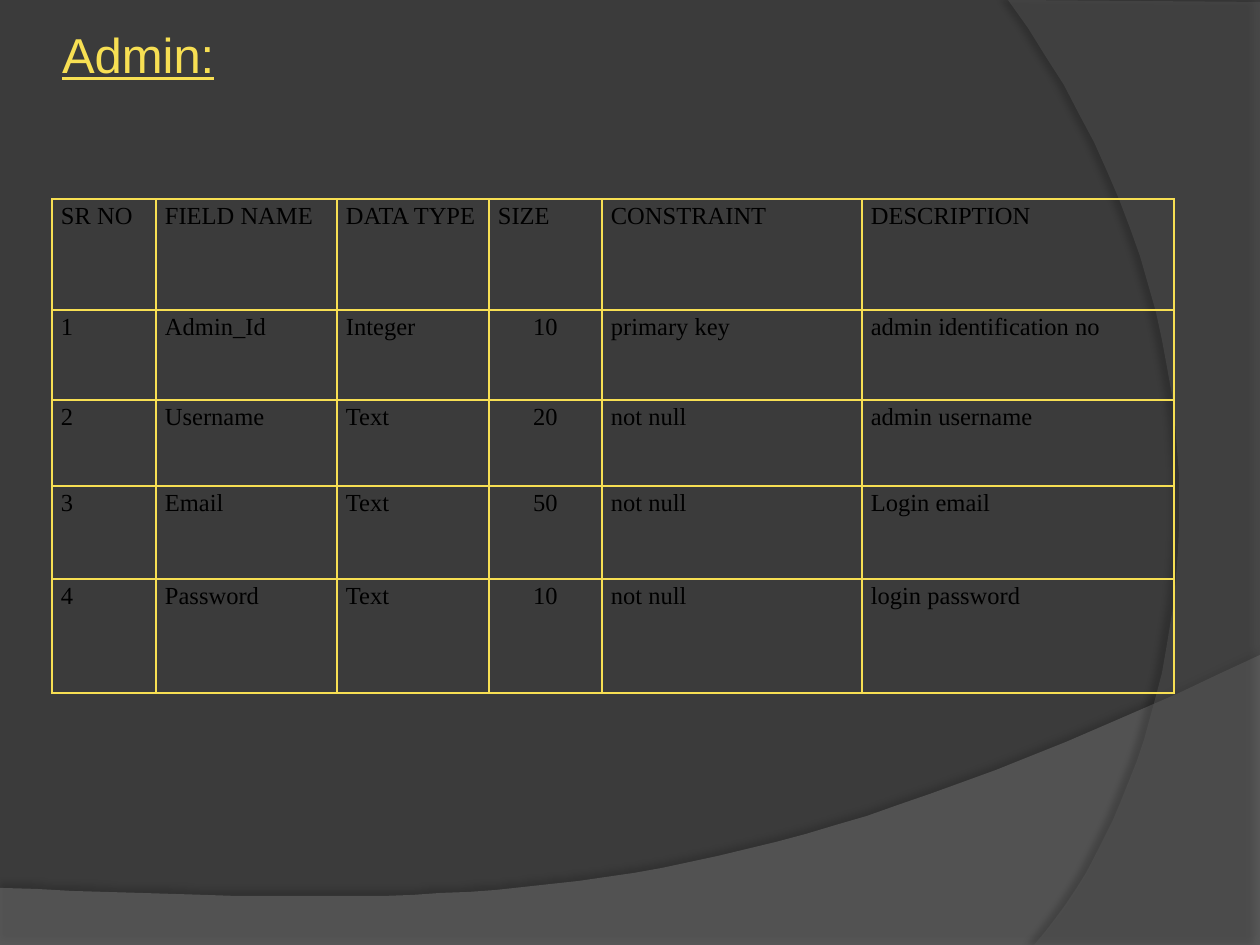
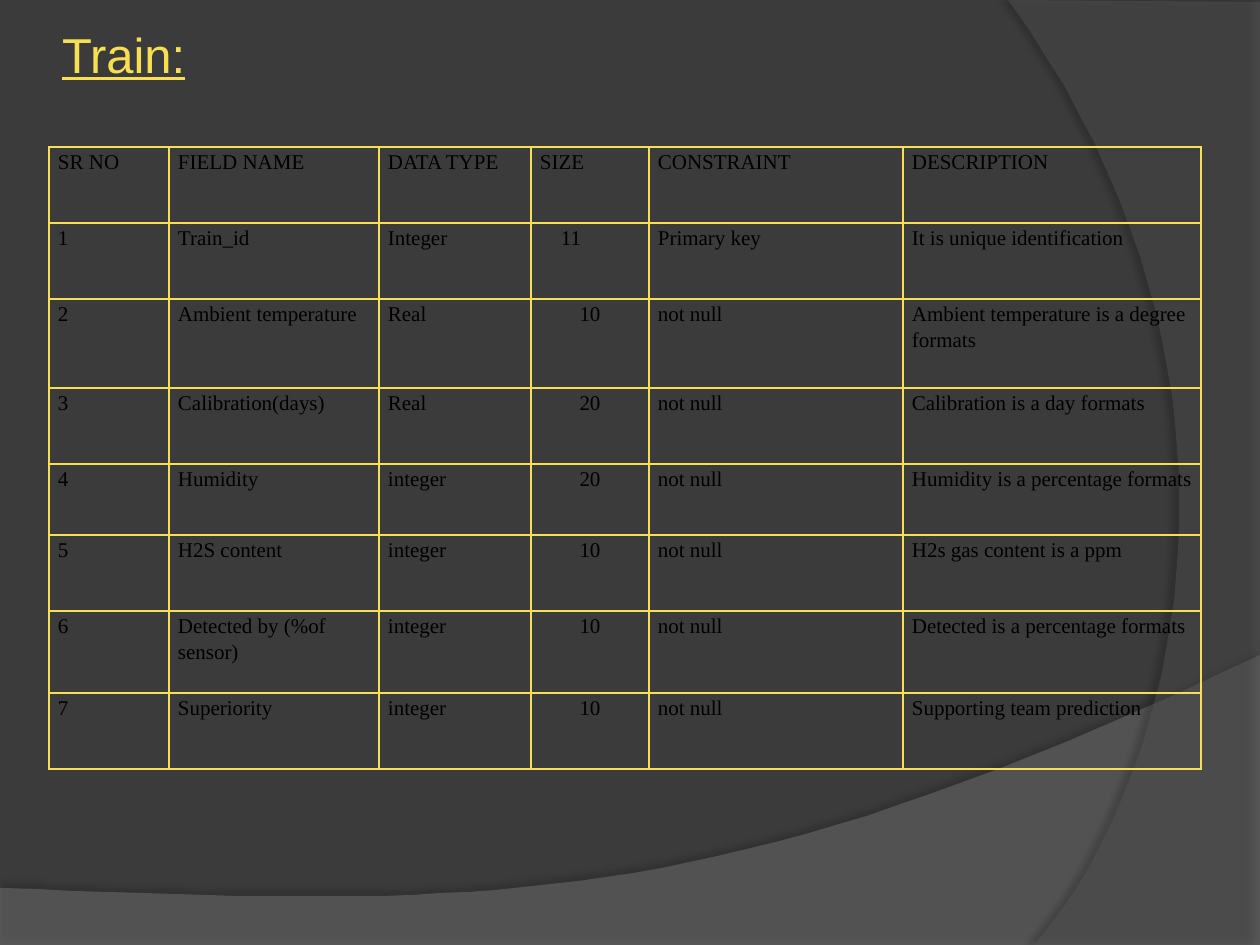
from dataclasses import dataclass

from lxml import etree
from pptx import Presentation
from pptx import util as u
from pptx.dml.color import RGBColor
from pptx.enum import text
from pptx.oxml import parse_xml
from pptx.oxml.ns import qn

# Content
HEADINGS = ("SR NO", "FIELD NAME", "DATA TYPE", "SIZE", "CONSTRAINT", "DESCRIPTION")
SIZE_COLUMN = HEADINGS.index("SIZE")

# indented: size cells that are set from the left instead of centred, with their indent
SLIDES = [
    dict(
        title="Admin:", at=(52, 199), font_size=14, indented={},
        columns=(104, 181, 152, 113, 260, 312),
        heights=(111, 90, 86, 93, 114),
        fields=[
            ("Admin_Id", "Integer", "10", "primary key", "admin identification no"),
            ("Username", "Text", "20", "not null", "admin username"),
            ("Email", "Text", "50", "not null", "Login email"),
            ("Password", "Text", "10", "not null", "login password"),
        ],
    ),
    dict(
        title="Train:", at=(49, 147), font_size=12, indented={1: 21},
        columns=(120, 210, 152, 118, 254, 298),
        heights=(76, 76, 89, 76, 71, 76, 82, 76),
        fields=[
            ("Train_id", "Integer", "11", "Primary key", "It is unique identification"),
            ("Ambient temperature", "Real", "10", "not null",
             "Ambient temperature is a degree formats"),
            ("Calibration(days)", "Real", "20", "not null", "Calibration is a day formats"),
            ("Humidity", "integer", "20", "not null", "Humidity is a percentage formats"),
            ("H2S content", "integer", "10", "not null", "H2s gas content is a ppm"),
            ("Detected by (%of sensor)", "integer", "10", "not null",
             "Detected is a percentage formats"),
            ("Superiority", "integer", "10", "not null", "Supporting team prediction"),
        ],
    ),
]

# Each band: straight corners, then one curve from the last corner
BANDS = [
    dict(corners=[(0, 888), (0, 946), (1260, 946), (1260, 655)],
         curve=[(704, 919), (493, 906), (0, 888)],
         color="7B7B7B", alpha=45, shadow_alpha=35, distance=3.5, direction=270),
    dict(corners=[(1260, 2), (1260, 945), (1034, 945)],
         curve=[(1178, 780), (1283, 378), (1008, 0)],
         color="5A5A5A", alpha=40, shadow_alpha=45, distance=4, direction=180),
]


@dataclass(frozen=True)
class Theme:
    background: str = "3B3B3B"
    accent: str = "F7DF53"
    ink: str = "000000"
    title_font: str = "Arial"
    table_font: str = "Times New Roman"
    title_size: int = 28
    border: int = 1
    shadow_blur: int = 4
    line_spacing: float = 1.15


THEME = Theme()
WIDTH, HEIGHT = 1260, 945
TITLE_BOX = (49, 18, 659, 72)
TITLE_INSETS = (13, 6, 13, 6)
CELL_INSETS = (9, 0, 9, 0)
SCALE = 914400 / 126
NAMESPACE = 'xmlns:a="http://schemas.openxmlformats.org/drawingml/2006/main"'


# Helpers
def px(length):
    return u.Emu(round(length * SCALE))


def color(value):
    return RGBColor.from_string(value)


def assign(target, **values):
    for name, value in values.items():
        setattr(target, name, value)


def insets(target, lengths):
    sides = ("left", "top", "right", "bottom")
    assign(target, **{f"margin_{side}": px(n) for side, n in zip(sides, lengths)})


def curve_points(start, first, second, end, steps=40):
    for step in range(1, steps + 1):
        t = step / steps
        weights = ((1 - t) ** 3, 3 * t * (1 - t) ** 2, 3 * t * t * (1 - t), t ** 3)
        yield tuple(sum(w * point[axis] for w, point in
                        zip(weights, (start, first, second, end))) for axis in (0, 1))


# Shared background: bands live on the layout
def add_band(slide, layout, band):
    corners = band["corners"]
    points = corners + list(curve_points(corners[-1], *band["curve"]))
    builder = slide.shapes.build_freeform(*points[0], scale=SCALE)
    builder.add_line_segments(points[1:], close=True)
    shape = builder.convert_to_shape()
    shape.fill.solid()
    shape.fill.fore_color.rgb = color(band["color"])
    shape.line.fill.background()
    properties = shape.element.spPr
    tint = properties.find(qn("a:solidFill"))[0]
    etree.SubElement(tint, qn("a:alpha"), val=str(band["alpha"] * 1000))
    properties.append(parse_xml(
        f'<a:effectLst {NAMESPACE}><a:outerShdw blurRad="{u.Pt(THEME.shadow_blur)}"'
        f' dist="{u.Pt(band["distance"])}" dir="{band["direction"] * 60000}"'
        f' algn="ctr" rotWithShape="0"><a:srgbClr val="{THEME.ink}">'
        f'<a:alpha val="{band["shadow_alpha"] * 1000}"/></a:srgbClr>'
        '</a:outerShdw></a:effectLst>'))
    layout.shapes.element.append(shape.element)


def set_title(slide, words):
    title = slide.shapes.title
    assign(title, **dict(zip(("left", "top", "width", "height"), map(px, TITLE_BOX))))
    frame = title.text_frame
    frame.text = words
    insets(frame, TITLE_INSETS)
    assign(frame, word_wrap=True, vertical_anchor=text.MSO_ANCHOR.TOP,
           auto_size=text.MSO_AUTO_SIZE.SHAPE_TO_FIT_TEXT)
    paragraph = frame.paragraphs[0]
    paragraph.alignment = text.PP_ALIGN.JUSTIFY
    font = paragraph.runs[0].font
    assign(font, name=THEME.title_font, size=u.Pt(THEME.title_size), underline=True)
    font.color.rgb = color(THEME.accent)


# Table
def format_cell(cell, words, font_size, centered, indent):
    properties = cell._tc.get_or_add_tcPr()
    for side in ("lnL", "lnR", "lnT", "lnB"):
        properties.append(parse_xml(
            f'<a:{side} {NAMESPACE} w="{u.Pt(THEME.border)}"><a:solidFill>'
            f'<a:srgbClr val="{THEME.accent}"/></a:solidFill></a:{side}>'))
    cell.fill.background()
    left, *others = CELL_INSETS
    insets(cell, (left + indent, *others))
    cell.vertical_anchor = text.MSO_ANCHOR.TOP
    cell.text = words
    paragraph = cell.text_frame.paragraphs[0]
    assign(paragraph, line_spacing=THEME.line_spacing,
           alignment=text.PP_ALIGN.CENTER if centered else text.PP_ALIGN.LEFT)
    font = paragraph.runs[0].font
    assign(font, name=THEME.table_font, size=u.Pt(font_size))
    font.color.rgb = color(THEME.ink)


def add_field_table(slide, content):
    columns, heights = content["columns"], content["heights"]
    rows = [HEADINGS] + [(str(number), *field)
                         for number, field in enumerate(content["fields"], 1)]
    box = (*content["at"], sum(columns), sum(heights))
    table = slide.shapes.add_table(len(rows), len(columns), *map(px, box)).table
    assign(table, first_row=False, horz_banding=False)
    for column, width in zip(table.columns, columns):
        column.width = px(width)
    for row, height in zip(table.rows, heights):
        row.height = px(height)
    for r, row in enumerate(rows):
        for c, words in enumerate(row):
            is_size = c == SIZE_COLUMN and r > 0
            indent = content["indented"].get(r, 0) if is_size else 0
            format_cell(table.cell(r, c), words, content["font_size"],
                        is_size and not indent, indent)


def main():
    presentation = Presentation()
    assign(presentation, slide_width=px(WIDTH), slide_height=px(HEIGHT))
    layout = presentation.slide_layouts.get_by_name("Title Only")
    layout.background.fill.solid()
    layout.background.fill.fore_color.rgb = color(THEME.background)
    slides = [presentation.slides.add_slide(layout) for _ in SLIDES]
    for band in BANDS:
        add_band(slides[0], layout, band)
    for slide, content in zip(slides, SLIDES):
        set_title(slide, content["title"])
        add_field_table(slide, content)
    presentation.save("out.pptx")


if __name__ == "__main__":
    main()
